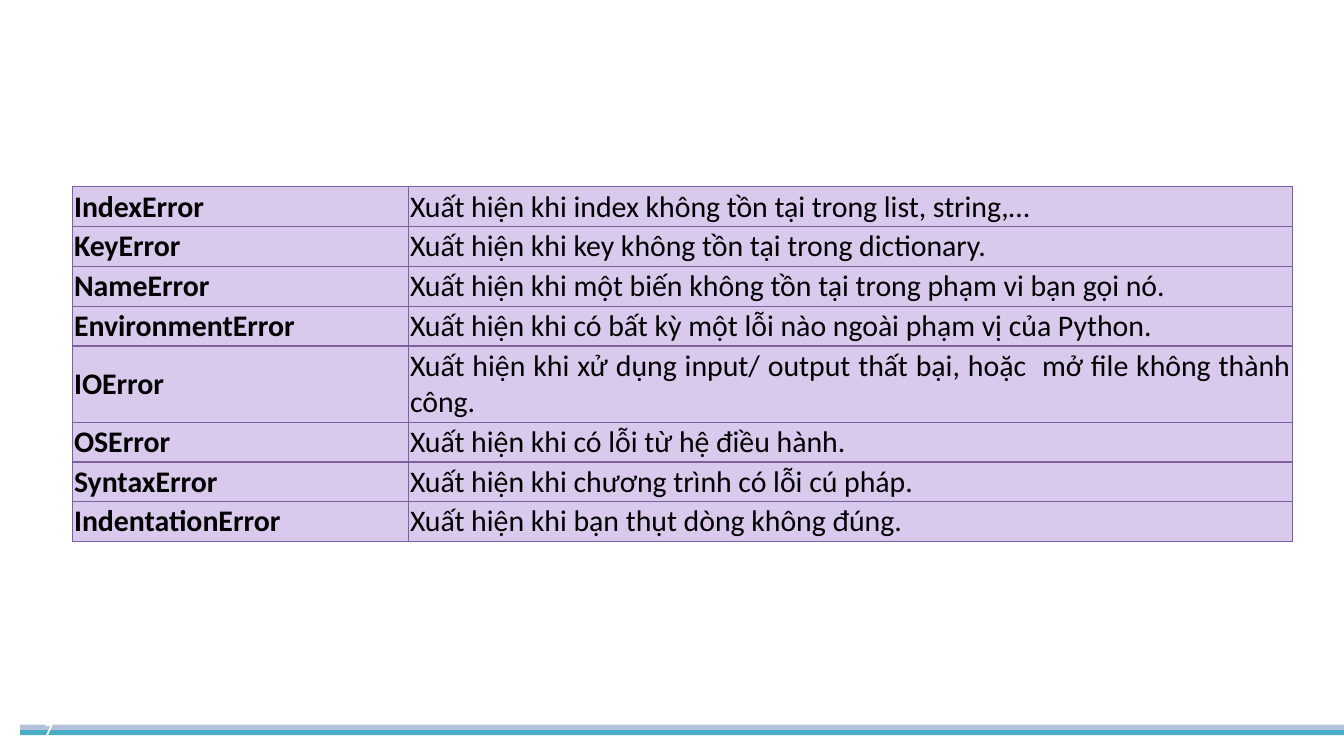
from dataclasses import dataclass

from lxml import etree
from pptx import Presentation
from pptx.dml.color import RGBColor
from pptx.enum.shapes import MSO_SHAPE
from pptx.enum.text import MSO_ANCHOR, PP_ALIGN
from pptx.oxml.ns import qn
from pptx.util import Cm, Pt

RECTANGLE, OVAL = MSO_SHAPE.RECTANGLE, MSO_SHAPE.OVAL
MIDDLE = MSO_ANCHOR.MIDDLE
LEFT, RIGHT, JUSTIFY = PP_ALIGN.LEFT, PP_ALIGN.RIGHT, PP_ALIGN.JUSTIFY


@dataclass(frozen=True)
class Theme:
    font: str = "Calibri"
    body_size: float = 16
    number_size: float = 9
    text: str = "000000"
    number: str = "FFFFFF"
    cell: str = "D9C9EC"
    border: str = "7D60A0"
    border_width: float = 0.75
    bands: tuple = ("B3C1DB", "4BACC6")


THEME = Theme()

ERRORS = [
    ("IndexError", "Xuất hiện khi index không tồn tại trong list, string,…"),
    ("KeyError", "Xuất hiện khi key không tồn tại trong dictionary."),
    ("NameError", "Xuất hiện khi một biến không tồn tại trong phạm vi bạn gọi nó."),
    ("EnvironmentError", "Xuất hiện khi có bất kỳ một lỗi nào ngoài phạm vị của Python."),
    ("IOError", "Xuất hiện khi xử dụng input/ output thất bại, hoặc  mở file không thành công."),
    ("OSError", "Xuất hiện khi có lỗi từ hệ điều hành."),
    ("SyntaxError", "Xuất hiện khi chương trình có lỗi cú pháp."),
    ("IndentationError", "Xuất hiện khi bạn thụt dòng không đúng."),
]
TWO_LINE_ERRORS = {"IOError"}


def style_paragraph(paragraph, size, color, bold, align):
    paragraph.alignment = align
    font = paragraph.font
    font.name, font.size, font.bold = THEME.font, Pt(size), bold
    font.color.rgb = RGBColor.from_string(color)


def outline_cell(cell):
    properties = cell._tc.get_or_add_tcPr()
    for position, side in enumerate(("lnL", "lnR", "lnT", "lnB")):
        line = etree.Element(qn(f"a:{side}"), w=str(Pt(THEME.border_width)))
        fill = etree.SubElement(line, qn("a:solidFill"))
        etree.SubElement(fill, qn("a:srgbClr"), val=THEME.border)
        properties.insert(position, line)


def fill_cell(cell, text, bold, align):
    cell.text = text
    cell.vertical_anchor = MIDDLE
    cell.margin_left = cell.margin_right = Cm(0.03)
    cell.margin_top = cell.margin_bottom = Cm(0.03)
    cell.fill.solid()
    cell.fill.fore_color.rgb = RGBColor.from_string(THEME.cell)
    style_paragraph(cell.text_frame.paragraphs[0], THEME.body_size, THEME.text, bold, align)
    outline_cell(cell)


def add_error_table(slide, left, top, width, line_height):
    heights = [line_height * (2 if name in TWO_LINE_ERRORS else 1) for name, _ in ERRORS]
    table = slide.shapes.add_table(len(ERRORS), 2, left, top, width, sum(heights)).table
    table.first_row = table.horz_banding = False
    name_width = Cm(6.35)
    table.columns[0].width = name_width
    table.columns[1].width = width - name_width
    for row, (name, meaning) in enumerate(ERRORS):
        table.rows[row].height = heights[row]
        fill_cell(table.cell(row, 0), name, True, LEFT)
        fill_cell(table.cell(row, 1), meaning, False, JUSTIFY)


def add_footer(slide, left, top, width, height, number):
    band_height = height // len(THEME.bands)
    for index, color in enumerate(THEME.bands):
        band = slide.shapes.add_shape(
            RECTANGLE, left, top + index * band_height, width, band_height)
        band.shadow.inherit = False
        band.fill.solid()
        band.fill.fore_color.rgb = RGBColor.from_string(color)
        band.line.fill.background()

    badge = slide.shapes.add_shape(
        OVAL, left - Cm(0.28), top - Cm(0.41), Cm(1.27), Cm(0.97))
    badge.shadow.inherit = False
    badge.fill.background()
    badge.line.fill.background()
    frame = badge.text_frame
    frame.text = number
    frame.vertical_anchor = MIDDLE
    frame.margin_left = frame.margin_right = Cm(0.18)
    frame.margin_top = frame.margin_bottom = Cm(0.1)
    style_paragraph(frame.paragraphs[0], THEME.number_size, THEME.number, True, RIGHT)


def main():
    presentation = Presentation()
    presentation.slide_width, presentation.slide_height = Cm(25.4), Cm(14.28)
    slide = presentation.slides.add_slide(presentation.slide_layouts[6])
    add_footer(slide, Cm(0.38), Cm(13.69), Cm(25.02), Cm(0.2), "7")
    add_error_table(slide, Cm(1.37), Cm(3.53), Cm(23.06), Cm(0.72))
    presentation.save("out.pptx")


if __name__ == "__main__":
    main()
